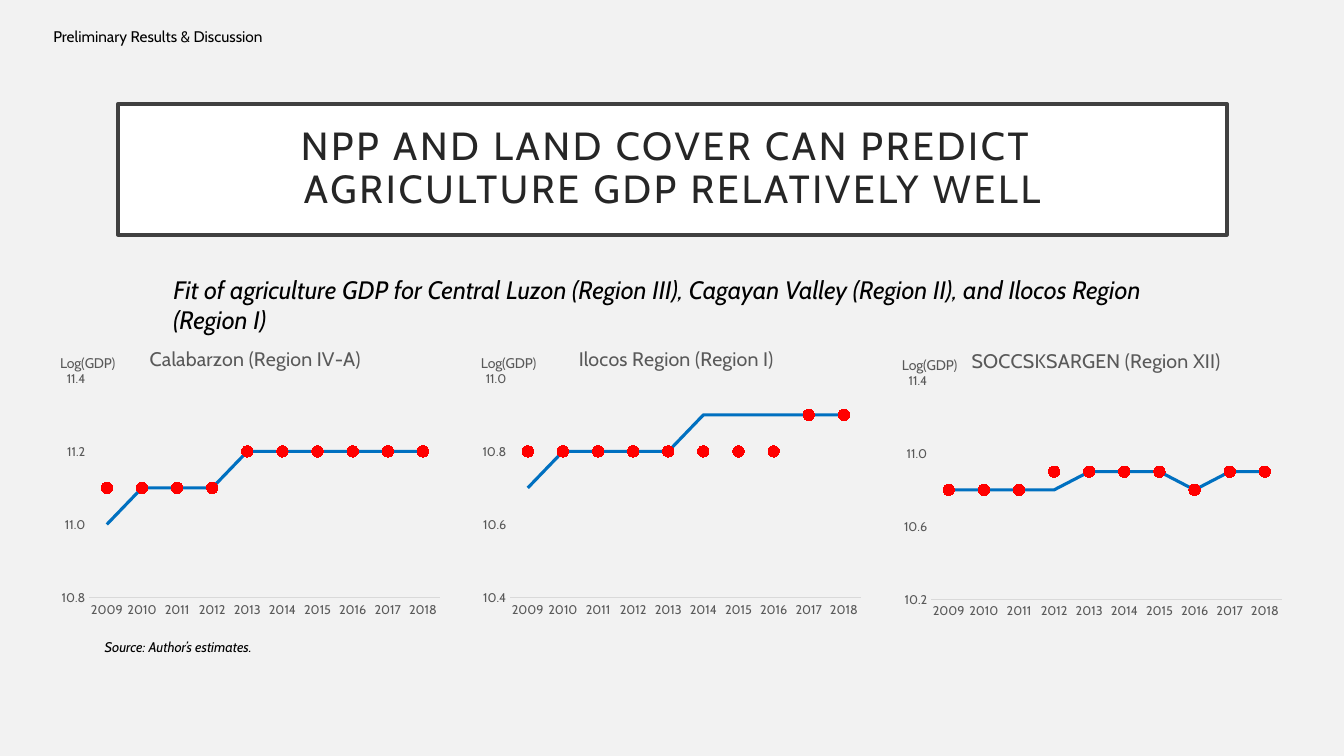
"""Build the slide on the fit of agriculture GDP in three regions."""
from lxml import etree
from pptx import Presentation
from pptx import util as u
from pptx.chart.data import CategoryChartData
from pptx.dml.color import RGBColor
from pptx.enum import chart as ch
from pptx.enum import shapes, text
from pptx.oxml.ns import qn

FONT = "Cabin"
COLORS = {
    "background": "F2F2F2", "panel": "FFFFFF", "frame": "404040",
    "heading": "262626", "body": "000000", "label": "595959",
    "axis": "D9D9D9", "actual": "0070C0", "fitted": "FF0000",
}
HEADING = "NPP AND LAND COVER CAN PREDICT \vAGRICULTURE GDP RELATIVELY WELL"
NOTES = [
    ("Fit of agriculture GDP for Central Luzon (Region III), Cagayan Valley "
     "(Region II), and Ilocos Region (Region I)",
     (1.62, 2.67, 10.28, 0.4), 18, True),
    ("Preliminary Results & Discussion", (0.43, 0.22, 3.51, 0.29), 11, False),
    ("Source: Author’s estimates.", (0.94, 6.29, 2.04, 0.27), 10, True),
]
YEARS = [str(year) for year in range(2009, 2019)]
AXIS_TITLE = "Log(GDP)"
REGIONS = [
    {"title": "Calabarzon (Region IV-A)", "title_x": 0.24, "top": 3.24,
     "scale": (10.8, 11.4, 0.2),
     "actual": (11, 11.1, 11.1, 11.1, 11.2, 11.2, 11.2, 11.2, 11.2, 11.2),
     "fitted": (11.1, 11.1, 11.1, 11.1, 11.2, 11.2, 11.2, 11.2, 11.2, 11.2)},
    {"title": "Ilocos Region (Region I)", "title_x": 0.26, "top": 3.24,
     "scale": (10.4, 11.0, 0.2),
     "actual": (10.7, 10.8, 10.8, 10.8, 10.8, 10.9, 10.9, 10.9, 10.9, 10.9),
     "fitted": (10.8, 10.8, 10.8, 10.8, 10.8, 10.8, 10.8, 10.8, 10.9, 10.9)},
    {"title": "SOCCSKSARGEN (Region XII)", "title_x": 0.19, "top": 3.26,
     "scale": (10.2, 11.4, 0.4),
     "actual": (10.8, 10.8, 10.8, 10.8, 10.9, 10.9, 10.9, 10.8, 10.9, 10.9),
     "fitted": (10.8, 10.8, 10.8, 10.9, 10.9, 10.9, 10.9, 10.8, 10.9, 10.9)},
]
CHART_LEFT, CHART_STEP, CHART_WIDTH, CHART_HEIGHT = 0.49, 4.175, 4, 3.01


def rgb(name):
    return RGBColor.from_string(COLORS[name])


def inches(box):
    return [u.Inches(length) for length in box]


def style(font, size, color, italic=None):
    font.name, font.size, font.italic = FONT, u.Pt(size), italic
    font.bold = False
    font.color.rgb = rgb(color)


def set_layout(parent, index, **settings):
    for old in parent.findall(qn("c:layout")):
        parent.remove(old)
    layout = etree.Element(qn("c:layout"))
    manual = etree.SubElement(layout, qn("c:manualLayout"))
    for tag, value in settings.items():
        etree.SubElement(manual, qn("c:" + tag)).set("val", str(value))
    parent.insert(index, layout)


def write_title(title, words, size, x, y):
    title.text_frame.text = words
    style(title.text_frame.paragraphs[0].runs[0].font, size, "label")
    set_layout(title._element, 1, xMode="edge", yMode="edge", x=x, y=y)


def add_heading(slide):
    panel = slide.shapes.add_shape(
        shapes.MSO_SHAPE.RECTANGLE, *inches((1.17, 1.03, 11, 1.3)))
    panel.shadow.inherit = False
    panel.fill.solid()
    panel.fill.fore_color.rgb = rgb("panel")
    panel.line.color.rgb = rgb("frame")
    panel.line.width = u.Pt(2.5)
    frame = panel.text_frame
    frame.margin_left = frame.margin_right = u.Inches(0.2)
    frame.margin_top = frame.margin_bottom = u.Inches(0.2)
    frame.vertical_anchor = text.MSO_ANCHOR.MIDDLE
    frame.text = HEADING
    paragraph = frame.paragraphs[0]
    paragraph.alignment = text.PP_ALIGN.CENTER
    paragraph.line_spacing = 0.9
    for run in paragraph.runs:
        style(run.font, 28, "heading")
        run.font._element.set("spc", "200")


def add_note(slide, words, box, size, italic):
    frame = slide.shapes.add_textbox(*inches(box)).text_frame
    frame.word_wrap = True
    frame.text = words
    style(frame.paragraphs[0].runs[0].font, size, "body", italic)


def add_region(slide, column, region):
    data = CategoryChartData(number_format="0.0")
    data.categories = YEARS
    data.add_series("Series 1", region["actual"])
    data.add_series("Series 2", region["fitted"])
    box = (CHART_LEFT + column * CHART_STEP, region["top"], CHART_WIDTH, CHART_HEIGHT)
    chart = slide.shapes.add_chart(
        ch.XL_CHART_TYPE.LINE_MARKERS, *inches(box), data).chart
    style(chart.font, 10, "body")
    chart.has_legend = False
    chart.has_title = True
    write_title(chart.chart_title, region["title"], 14, region["title_x"], 0.05)
    chart.plots[0].vary_by_categories = False
    set_layout(chart._chartSpace.chart.plotArea, 0, layoutTarget="inner",
               xMode="edge", yMode="edge", x=0.099, y=0.171, w=0.871, h=0.722)

    years, values = chart.category_axis, chart.value_axis
    for axis in (years, values):
        axis.has_major_gridlines = False
        axis.major_tick_mark = axis.minor_tick_mark = ch.XL_TICK_MARK.NONE
        style(axis.tick_labels.font, 9, "label")
    years.format.line.color.rgb = rgb("axis")
    years.format.line.width = u.Pt(0.75)
    values.format.line.fill.background()
    values.minimum_scale, values.maximum_scale, values.major_unit = region["scale"]
    values.tick_labels.number_format = "0.0"
    values.tick_labels.number_format_is_linked = False
    write_title(values.axis_title, AXIS_TITLE, 10, 0.02, 0.08)
    direction = values.axis_title.text_frame._txBody.bodyPr
    direction.set("rot", "0")
    direction.set("vert", "horz")

    actual, fitted = chart.plots[0].series
    actual.smooth = fitted.smooth = False
    actual.format.line.color.rgb = rgb("actual")
    actual.format.line.width = u.Pt(2.25)
    actual.marker.style = ch.XL_MARKER_STYLE.NONE
    fitted.format.line.fill.background()
    fitted.marker.style = ch.XL_MARKER_STYLE.CIRCLE
    fitted.marker.size = 8
    fitted.marker.format.fill.solid()
    fitted.marker.format.fill.fore_color.rgb = rgb("fitted")
    fitted.marker.format.line.fill.background()


def main():
    deck = Presentation()
    deck.slide_width, deck.slide_height = inches((13.33, 7.5))
    slide = deck.slides.add_slide(deck.slide_layouts[6])
    slide.background.fill.solid()
    slide.background.fill.fore_color.rgb = rgb("background")
    add_heading(slide)
    for note in NOTES:
        add_note(slide, *note)
    for column, region in enumerate(REGIONS):
        add_region(slide, column, region)
    deck.save("out.pptx")


if __name__ == "__main__":
    main()
